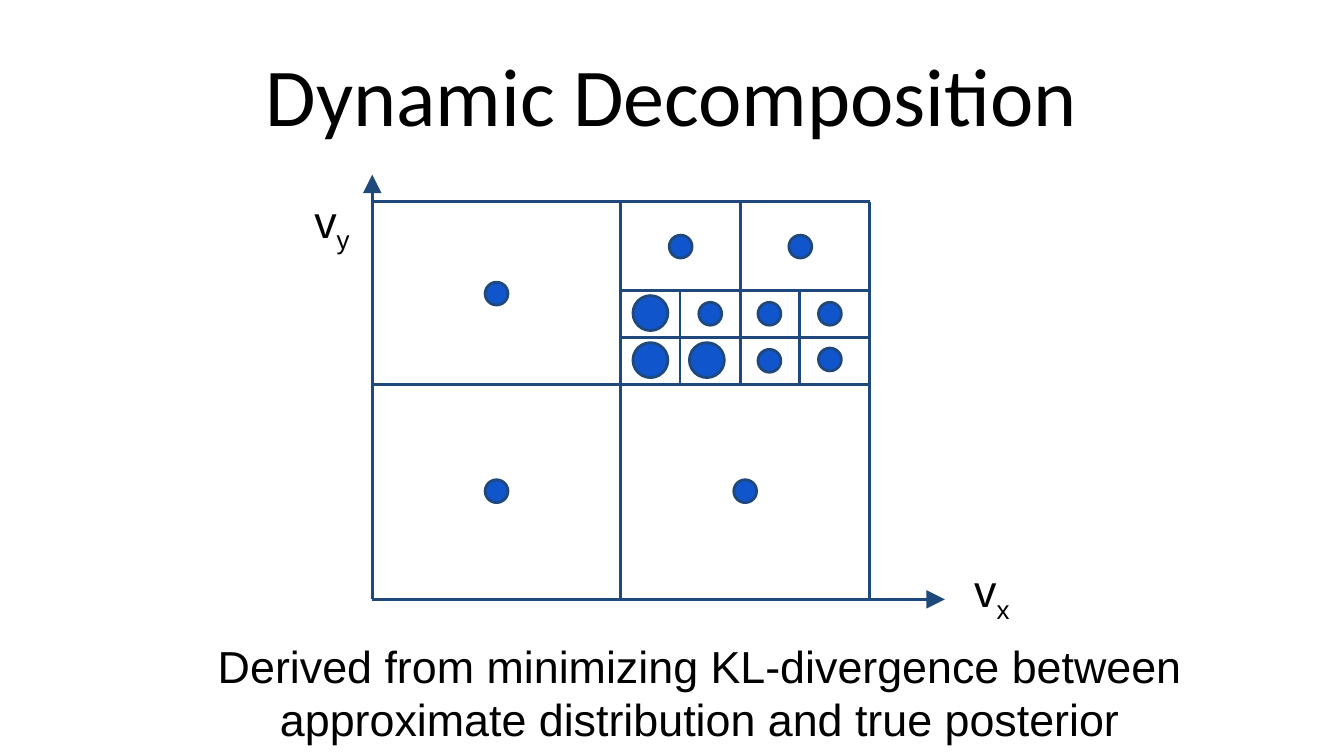
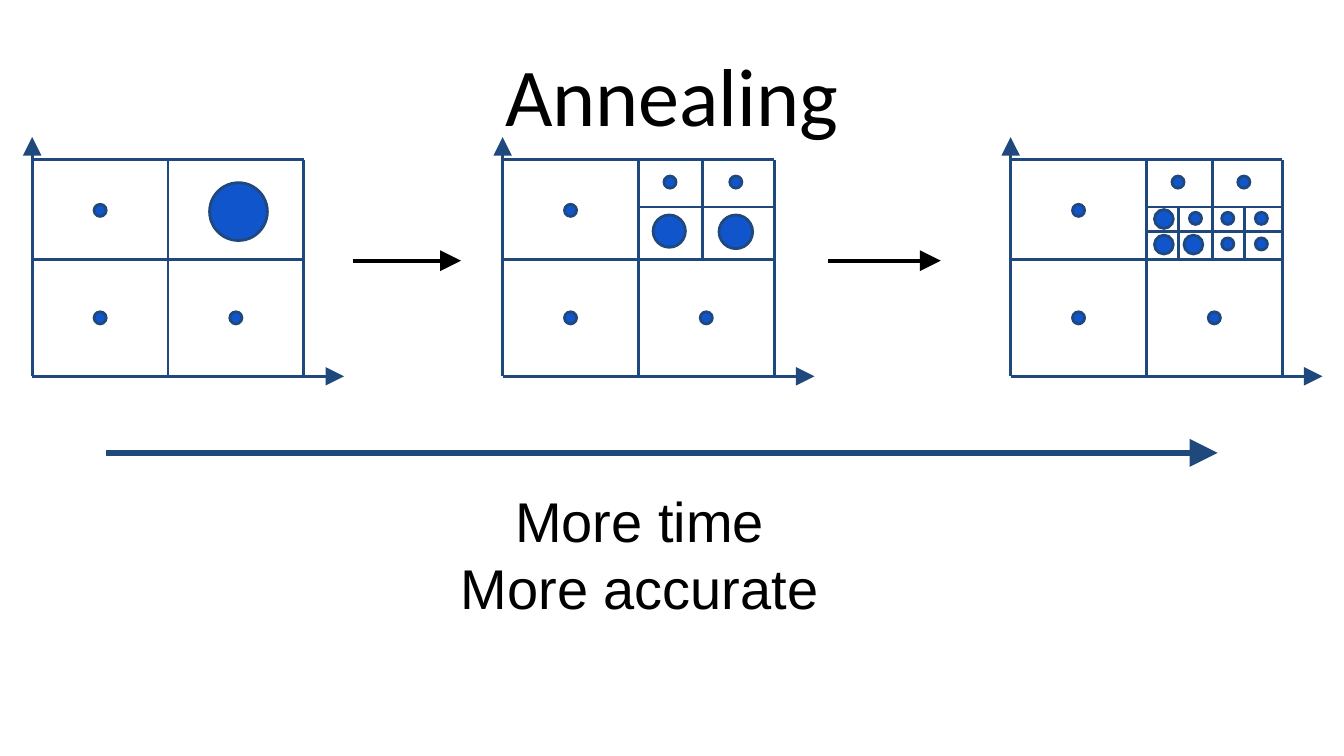
import dataclasses
import typing

import lxml.etree
import pptx
import pptx.dml.color
import pptx.enum.shapes
import pptx.enum.text
import pptx.oxml.ns
import pptx.util

# Shared look
SCALE = 9144  # EMU in one px, 100 px to the inch
NAVY, BLUE, BLACK = "1F497D", "1155CC", "000000"
THIN = 1.5
ALIGN = pptx.enum.text.PP_ALIGN
ANCHOR = pptx.enum.text.MSO_ANCHOR


class Line(typing.NamedTuple):
    x1: int
    y1: int
    x2: int
    y2: int


class Dot(typing.NamedTuple):
    left: int
    top: int
    size: int


class Label(typing.NamedTuple):
    left: int
    top: int
    wide: int
    high: int
    text: str
    size: int
    font: str = "Arial"
    align: ALIGN = ALIGN.CENTER
    anchor: ANCHOR = ANCHOR.TOP


@dataclasses.dataclass
class Grid:
    """Axes, outer box and first split; lengths count from the box corner."""
    wide: int
    high: int
    tip_x: int
    tip_y: int
    mid_x: int
    mid_y: int
    dots: list[Dot]


@dataclasses.dataclass
class Plot:
    left: int
    top: int
    grid: Grid
    cuts: list[Line]
    dots: list[Dot]


def px(count: int) -> int:
    return pptx.util.Emu(count * SCALE)


def color(code: str) -> pptx.dml.color.RGBColor:
    return pptx.dml.color.RGBColor.from_string(code)


# Drawing
def draw_line(slide, line: Line, tint: str = NAVY, width: float = THIN,
              arrow: bool = False) -> None:
    link = slide.shapes.add_connector(
        pptx.enum.shapes.MSO_CONNECTOR.STRAIGHT, *map(px, line))
    link.line.color.rgb = color(tint)
    link.line.width = pptx.util.Pt(width)
    name = pptx.oxml.ns.qn
    props = link._element.spPr
    if arrow:
        lxml.etree.SubElement(props.find(name("a:ln")), name("a:tailEnd"),
                              type="triangle", w="lg", len="lg")
    lxml.etree.SubElement(props, name("a:effectLst"))


def draw_dot(slide, dot: Dot) -> None:
    shape = slide.shapes.add_shape(
        pptx.enum.shapes.MSO_SHAPE.OVAL,
        px(dot.left), px(dot.top), px(dot.size), px(dot.size))
    shape.shadow.inherit = False
    shape.fill.solid()
    shape.fill.fore_color.rgb = color(BLUE)
    shape.line.color.rgb = color(NAVY)
    shape.line.width = pptx.util.Pt(THIN)


def draw_label(slide, label: Label, sub: str = "") -> None:
    box = slide.shapes.add_textbox(px(label.left), px(label.top),
                                   px(label.wide), px(label.high))
    frame = box.text_frame
    frame.word_wrap = True
    frame.vertical_anchor = label.anchor
    frame.margin_left = frame.margin_right = px(10)
    frame.margin_top = frame.margin_bottom = px(10)
    frame.text = label.text
    if sub:
        run = frame.paragraphs[0].add_run()
        run.text = sub
        run.font._element.set("baseline", "-25000")
    for para in frame.paragraphs:
        para.alignment = label.align
        for run in para.runs:
            run.font.name = label.font
            run.font.size = pptx.util.Pt(label.size)
            run.font.color.rgb = color(BLACK)


def draw_plot(slide, plot: Plot) -> None:
    grid, x, y = plot.grid, plot.left, plot.top
    wide, high = grid.wide, grid.high
    axes = [Line(0, high, 0, grid.tip_y), Line(0, high, grid.tip_x, high)]
    box = [Line(0, 0, wide, 0), Line(wide, 0, wide, high),
           Line(grid.mid_x, 0, grid.mid_x, high),
           Line(0, grid.mid_y, wide, grid.mid_y)]
    for line in axes + box + plot.cuts:
        moved = Line(line.x1 + x, line.y1 + y, line.x2 + x, line.y2 + y)
        draw_line(slide, moved, arrow=line in axes)
    for dot in grid.dots + plot.dots:
        draw_dot(slide, Dot(dot.left + x, dot.top + y, dot.size))


def halve(grid: Grid, x: int, y: int) -> list[Line]:
    """Split the upper right cell in four."""
    return [Line(grid.mid_x, y, grid.wide, y), Line(x, 0, x, grid.mid_y)]


def refine(grid: Grid, xs: tuple[int, int, int], y: int, low: int) -> list[Line]:
    """Split the upper right cell, then its lower half once more."""
    first, mid, last = xs
    return halve(grid, mid, y) + [
        Line(grid.mid_x, low, mid, low), Line(mid, low, grid.wide, low),
        *(Line(x, y, x, grid.mid_y) for x in (first, last))]


def add_slide(deck, title: str):
    slide = deck.slides.add_slide(deck.slide_layouts[6])
    draw_label(slide, Label(50, 23, 900, 94, title, 44, "Calibri",
                            anchor=ANCHOR.MIDDLE))
    return slide


# Slide 1: one large plot
def add_split(deck) -> None:
    slide = add_slide(deck, "Dynamic Decomposition")
    grid = Grid(370, 296, 426, -20, 185, 136,
                [Dot(84, 60, 17), Dot(84, 207, 17), Dot(269, 207, 17)])
    spots = [(221, 25), (310, 25), (243, 75), (287, 75), (332, 75),
             (287, 110), (332, 109)]
    dots = [Dot(x, y, 17) for x, y in spots]
    dots += [Dot(x, y, 26) for x, y in ((194, 70), (194, 105), (236, 105))]
    draw_plot(slide, Plot(277, 150, grid,
                          refine(grid, (229, 274, 318), 66, 101), dots))
    for left, top, wide, sub in ((224, 134, 68, "y"), (715, 409, 59, "x")):
        draw_label(slide, Label(left, top, wide, 36, "v", 24,
                                align=ALIGN.LEFT), sub)
    draw_label(slide, Label(
        138, 465, 765, 98,
        "Derived from minimizing KL-divergence between "
        "approximate distribution and true posterior", 24))


# Slide 2: three stages
def add_stages(deck) -> None:
    slide = add_slide(deck, "Annealing")
    draw_line(slide, Line(79, 337, 906, 337), width=3, arrow=True)
    draw_label(slide, Label(276, 352, 400, 50, "More time\nMore accurate", 30))

    grid = Grid(202, 161, 232, -17, 101, 74,
                [Dot(46, 33, 9), Dot(46, 113, 9), Dot(147, 113, 9)])
    upper = [Dot(120, 12, 9), Dot(169, 12, 9)]
    lower = [Dot(x, y, 9) for x, y in ((133, 39), (157, 39), (182, 39),
                                       (157, 58), (182, 58))]
    large = [Dot(x, y, 14) for x, y in ((107, 37), (107, 56), (129, 56))]
    plots = [
        Plot(24, 119, grid, [], [Dot(132, 17, 43)]),
        Plot(374, 119, grid, halve(grid, 149, 35),
             upper + [Dot(112, 41, 24), Dot(161, 41, 25)]),
        Plot(752, 119, grid, refine(grid, (125, 150, 174), 35, 53),
             upper + lower + large),
    ]
    for plot in plots:
        draw_plot(slide, plot)
    for start, end in ((263, 343), (616, 700)):
        draw_line(slide, Line(start, 194, end, 194), BLACK, 2.25, True)


def main() -> None:
    deck = pptx.Presentation()
    deck.slide_width = px(1000)
    deck.slide_height = px(1000) * 9 // 16
    add_split(deck)
    add_stages(deck)
    deck.save("out.pptx")


if __name__ == "__main__":
    main()
